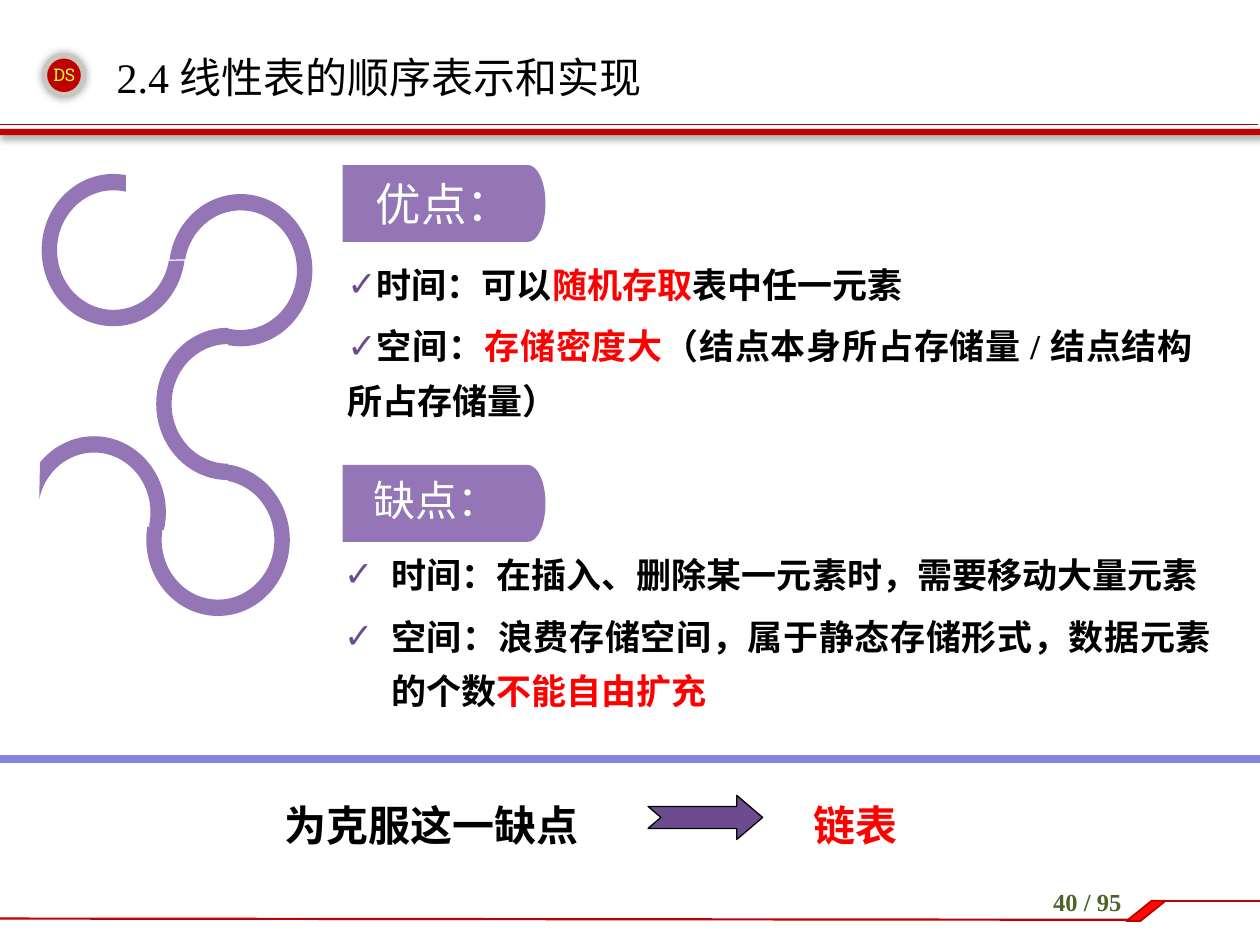
"""Build the slide that weighs the pros and cons of sequential lists."""
from dataclasses import dataclass
from math import cos, radians, sin, tan
from typing import Any, Optional

from lxml.etree import SubElement
from pptx import Presentation
from pptx.dml.color import RGBColor
from pptx.enum.lang import MSO_LANGUAGE_ID as Lang
from pptx.enum.shapes import MSO_CONNECTOR as Connector, MSO_SHAPE as Preset
from pptx.enum.text import MSO_ANCHOR as Anchor, MSO_AUTO_SIZE as AutoSize, PP_ALIGN as Align
from pptx.oxml.ns import qn
from pptx.util import Pt

Box = tuple[float, float, float, float]
Point = tuple[float, float]
Curve = tuple[Point, Point, Point]


@dataclass(frozen=True)
class Theme:
    serif: str = "Times New Roman"
    slab: str = "Roboto Slab"
    sans: str = "Noto Sans CJK SC"
    ink: str = "000000"
    alert: str = "FF0000"
    paper: str = "FEFFFF"
    red: str = "C00000"
    corner: str = "FF0909"
    rim: str = "C8C6BD"
    lime: str = "CCFF33"
    green: str = "4F6228"
    violet: str = "9476B6"
    plum: str = "6C4C8F"
    divider: str = "8585E0"
    badge_size: float = 10
    page_size: float = 14
    body_size: float = 20
    title_size: float = 24
    tab_size: float = 26


THEME = Theme()


@dataclass(frozen=True)
class Span:
    text: str
    size: float = THEME.body_size
    color: str = THEME.ink
    bold: bool = True
    font: str = THEME.serif


@dataclass(frozen=True)
class Swirl:
    center: Point
    outer: Point
    inner: Point


@dataclass(frozen=True)
class Rule:
    start: Point
    end: Point
    color: str
    width: float


SWIRLS = [
    Swirl((137.5, 154.4), (188, 460), (190.3, 462.8)),
    Swirl((130.3, 230.8), (90, 270), (90, 270)),
    Swirl((124.6, 308.5), (-82, 190), (-79.8, 192.8)),
    Swirl((64.8, 142.9), (8, 280), (10.3, 282.8)),
    Swirl((53.8, 292.8), (221, 373.4), (193, 373.4)),
]
HEADER_RULE = Rule((-1.4, 71), (718.6, 71), THEME.red, 0.25)
RULES = [
    Rule((0, 524.9), (645.1, 525.6), THEME.red, 1.25),
    Rule((660.2, 514.8), (720, 514.8), THEME.red, 1.5),
    Rule((0, 433.6), (720, 433.6), THEME.divider, 4.5),
]
PROS = [
    [Span("时间：可以"), Span("随机存取", color=THEME.alert), Span("表中任一元素")],
    [Span("空间："), Span("存储密度大", color=THEME.alert),
     Span("（结点本身所占存储量 / 结点结构所占存储量）")],
]
CONS = [
    [Span("时间：在插入、删除某一元素时，需要移动大量元素")],
    [Span("空间：浪费存储空间，属于静态存储形式，数据元素的个数"),
     Span("不能自由扩充", color=THEME.alert)],
]


def assign(target: Any, values: dict[str, Any]) -> None:
    """Set every named attribute on the target."""
    for key, value in values.items():
        setattr(target, key, value)


def place(shape: Any, box: Box) -> None:
    """Move and size a shape."""
    assign(shape, dict(zip(("left", "top", "width", "height"), map(Pt, box))))


def paint(shape: Any, fill: str, line: Optional[str] = None, width: float = 0) -> None:
    """Give a shape a flat fill and an optional outline."""
    shape.shadow.inherit = False
    shape.fill.solid()
    shape.fill.fore_color.rgb = RGBColor.from_string(fill)
    if line:
        shape.line.color.rgb = RGBColor.from_string(line)
        shape.line.width = Pt(width)
    else:
        shape.line.fill.background()


def add_glow(shape: Any, blur: float, distance: float, angle: int) -> None:
    """Put a soft black shadow into the shape's effect list."""
    effects = shape._element.spPr.find(qn("a:effectLst"))
    shadow = SubElement(effects, qn("a:outerShdw"), blurRad=str(Pt(blur)),
                        dist=str(Pt(distance)), dir=str(angle * 60000), rotWithShape="0")
    black = SubElement(shadow, qn("a:srgbClr"), val=THEME.ink)
    SubElement(black, qn("a:alpha"), val="40000")


def draw_preset(slide: Any, kind: Any, box: Box, fill: str, line: Optional[str] = None,
                width: float = 0, adjust: tuple[float, ...] = ()) -> Any:
    """Draw a preset shape."""
    shape = slide.shapes.add_shape(kind, *map(Pt, box))
    for index, value in enumerate(adjust):
        shape.adjustments[index] = value
    paint(shape, fill, line, width)
    return shape


def draw_rule(slide: Any, rule: Rule) -> None:
    """Draw a straight line."""
    line = slide.shapes.add_connector(Connector.STRAIGHT, *map(Pt, rule.start + rule.end))
    line.line.color.rgb = RGBColor.from_string(rule.color)
    line.line.width = Pt(rule.width)
    SubElement(line._element.spPr, qn("a:effectLst"))


def arc(center: Point, radii: Point, span: Point) -> tuple[Point, list[Curve]]:
    """Return the start of an elliptic arc and its curves, split at the quadrants."""
    def spot(angle: float, pull: float = 0) -> Point:
        a = radians(angle)
        return (center[0] + radii[0] * (cos(a) - pull * sin(a)),
                center[1] + radii[1] * (sin(a) + pull * cos(a)))

    low, high = sorted(span)
    stops = [low, *(q for q in range(-90, 540, 90) if low < q < high), high]
    if span[0] > span[1]:
        stops.reverse()
    curves = []
    for a, b in zip(stops, stops[1:]):
        pull = 4 / 3 * tan(radians(b - a) / 4)
        curves.append((spot(a, pull), spot(b, -pull), spot(b)))
    return spot(stops[0]), curves


def draw_outline(slide: Any, start: Point, steps: list[Any]) -> Any:
    """Draw a closed violet outline from points and curves."""
    groups = [step if isinstance(step[0], tuple) else (step,) for step in steps]
    builder = slide.shapes.build_freeform(*map(Pt, start))
    builder.add_line_segments([(Pt(x), Pt(y)) for group in groups for x, y in group], close=True)
    shape = builder.convert_to_shape()
    segments = iter(list(shape._element.iter(qn("a:lnTo"))))
    for group in groups:
        parts = [next(segments) for _ in group]
        if len(parts) == 3:
            bend = parts[0].makeelement(qn("a:cubicBezTo"), {})
            parts[0].addprevious(bend)
            for part in parts:
                bend.append(part[0])
                part.getparent().remove(part)
    paint(shape, THEME.violet)
    return shape


def draw_swirl(slide: Any, swirl: Swirl) -> None:
    """Draw one open ring of the ribbon."""
    start, outside = arc(swirl.center, (41, 43.5), swirl.outer)
    turn, inside = arc(swirl.center, (32.2, 34.2), swirl.inner[::-1])
    draw_outline(slide, start, [*outside, turn, *inside])


def draw_tab(slide: Any, top: float) -> Any:
    """Draw a heading tab with a rounded right end."""
    left, flat, half = 195.8, 301.7, 21.95
    start, end = arc((flat, top + half), (10, half), (-90, 90))
    return draw_outline(slide, (left, top), [start, *end, (left, top + 2 * half)])


def write(paragraph: Any, spans: list[Span], align: Any, spacing: float) -> None:
    """Fill a paragraph with formatted spans."""
    assign(paragraph, {"alignment": align, "line_spacing": spacing, "space_before": Pt(0)})
    for span in spans:
        run = paragraph.add_run()
        run.text = span.text
        assign(run.font, {"name": span.font, "size": Pt(span.size), "bold": span.bold,
                          "language_id": Lang.SIMPLIFIED_CHINESE})
        run.font.color.rgb = RGBColor.from_string(span.color)
        latin = run._r.rPr.find(qn("a:latin"))
        latin.addnext(latin.makeelement(qn("a:ea"), {"typeface": THEME.sans}))


def draw_label(slide: Any, box: Box, span: Span, align: Any = Align.LEFT, spacing: float = 1.0) -> None:
    """Draw a one-line text box."""
    label = slide.shapes.add_textbox(*map(Pt, box))
    label.text_frame.word_wrap = True
    write(label.text_frame.paragraphs[0], [span], align, spacing)


def fill_list(body: Any, box: Box, items: list[list[Span]], margin: float, indent: float) -> None:
    """Fill a body placeholder with a check-marked list."""
    place(body, box)
    frame = body.text_frame
    assign(frame, {"auto_size": AutoSize.NONE, "vertical_anchor": Anchor.TOP, "word_wrap": True})
    for index, spans in enumerate(items):
        paragraph = frame.add_paragraph() if index else frame.paragraphs[0]
        props = paragraph._p.get_or_add_pPr()
        props.set("marL", str(Pt(margin)))
        props.set("indent", str(Pt(indent)))
        SubElement(SubElement(props, qn("a:buClr")), qn("a:srgbClr"), val=THEME.plum)
        SubElement(props, qn("a:buChar"), char="✓")
        write(paragraph, spans, Align.JUSTIFY, 1.3)
        if index:
            paragraph.space_before = Pt(4)


def main() -> None:
    """Compose and save the slide."""
    deck = Presentation()
    assign(deck, {"slide_width": Pt(720), "slide_height": Pt(540)})
    slide = deck.slides.add_slide(deck.slide_layouts[3])
    title, pros, cons = slide.placeholders

    badge = draw_preset(slide, Preset.OVAL, (25.4, 31.9, 22.3, 22.3), THEME.red, THEME.rim, 3)
    add_glow(badge, 5, 0, 0)
    draw_rule(slide, HEADER_RULE)
    band = draw_preset(slide, Preset.RECTANGLE, (-2.2, 73.6, 722.2, 3.6), THEME.red)
    add_glow(band, 4, 3, 45)
    for rule in RULES:
        draw_rule(slide, rule)
    draw_preset(slide, Preset.PARALLELOGRAM, (643.7, 514.8, 22.3, 11.5), THEME.corner, THEME.red, 1, (1.242,))
    draw_label(slide, (576, 503.3, 90.7, 28.8), Span("40 / 95", THEME.page_size, THEME.green), Align.CENTER)
    draw_label(slide, (17.3, 33.1, 38.9, 19.4),
               Span("DS", THEME.badge_size, THEME.lime, False, THEME.slab), Align.CENTER)

    place(title, (59.4, 21.6, 572.4, 43.9))
    assign(title.text_frame, {"auto_size": AutoSize.NONE, "vertical_anchor": Anchor.MIDDLE})
    write(title.text_frame.paragraphs[0],
          [Span("2.4 线性表的顺序表示和实现", THEME.title_size, bold=False)], Align.LEFT, 1.0)

    for swirl in SWIRLS:
        draw_swirl(slide, swirl)
    pros_tab = draw_tab(slide, 94.3)
    pros_tab.text_frame.vertical_anchor = Anchor.MIDDLE
    write(pros_tab.text_frame.paragraphs[0],
          [Span("优点：", THEME.tab_size, THEME.paper, False, THEME.sans)], Align.CENTER, 1.0)
    draw_tab(slide, 265.7)
    draw_label(slide, (206.2, 259.2, 104.4, 45.4),
               Span("缺点：", THEME.title_size, THEME.paper, False), spacing=1.3)
    fill_list(pros, (155.3, 139.7, 533.5, 142.6), PROS, 36, 0)
    fill_list(cons, (189.4, 305.6, 509.8, 106.6), CONS, 27, -27)

    draw_label(slide, (155.5, 444.6, 193, 44.6), Span("为克服这一缺点", THEME.title_size), spacing=1.3)
    draw_preset(slide, Preset.NOTCHED_RIGHT_ARROW, (370.3, 454.5, 65.5, 25.2),
                THEME.plum, THEME.ink, 0.75, (0.5, 0.587))
    draw_label(slide, (457.9, 444.6, 77.8, 44.6), Span("链表", THEME.title_size, THEME.alert), spacing=1.3)
    deck.save("out.pptx")


if __name__ == "__main__":
    main()
